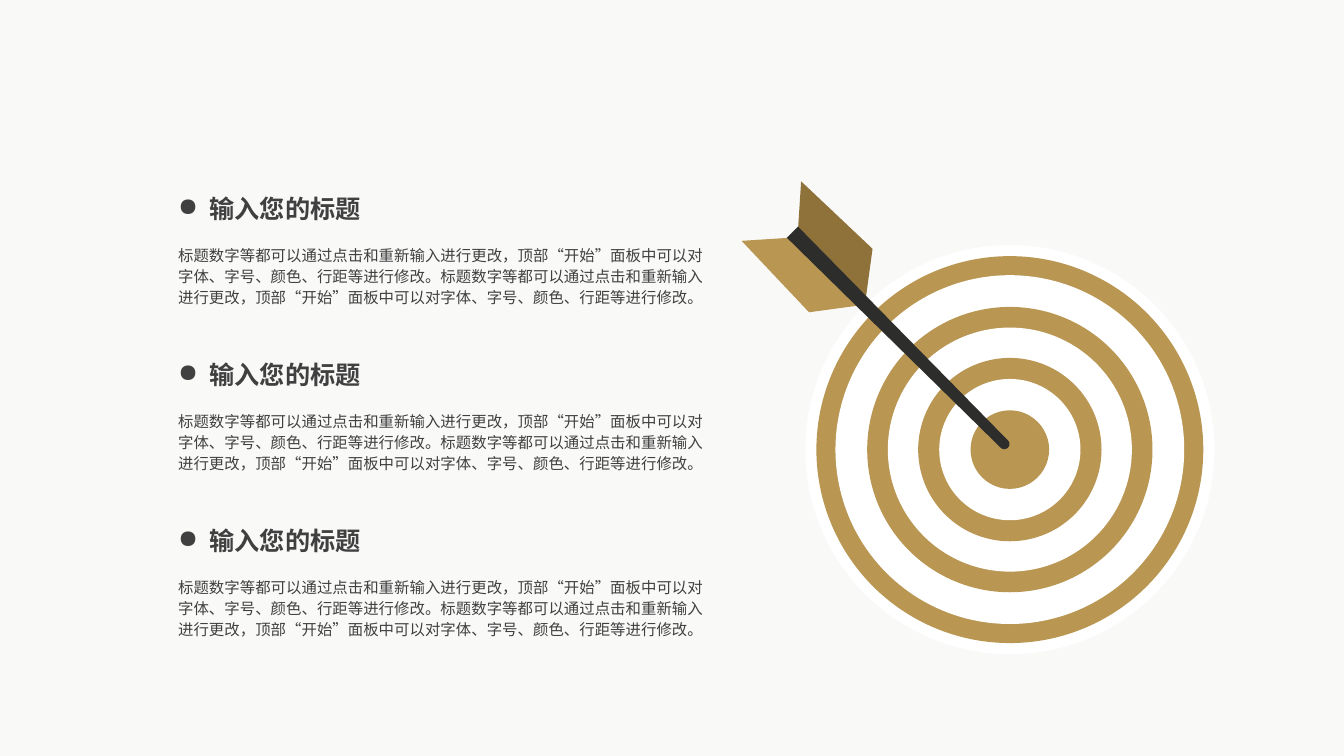
import math

from pptx import Presentation
from pptx.dml.color import RGBColor
from pptx.enum.shapes import MSO_SHAPE
from pptx.enum.text import MSO_AUTO_SIZE
from pptx.oxml.ns import qn
from pptx.util import Cm, Pt

OVAL = MSO_SHAPE.OVAL
GROW = MSO_AUTO_SIZE.SHAPE_TO_FIT_TEXT
BLANK_LAYOUT = 6

FONT = "Noto Sans CJK SC"
PAPER, WHITE, INK = "F9F9F8", "FFFFFF", "404040"
GOLD, DARK_GOLD, SHAFT = "B99652", "8F723A", "2D2D2C"

HEADING = "输入您的标题"
BODY = ("标题数字等都可以通过点击和重新输入进行更改，顶部“开始”面板中可以对"
        "字体、字号、颜色、行距等进行修改。") * 2

# Outer diameters in cm, alternating white and gold
RING_DIAMETERS = (10.31, 9.75, 8.79, 7.19, 6.15, 4.62, 3.56, 1.98)


def rgb(value):
    return RGBColor.from_string(value)


def paint(shape, color):
    shape.shadow.inherit = False
    shape.fill.solid()
    shape.fill.fore_color.rgb = rgb(color)
    shape.line.fill.background()


def add_text(parent, text, left, top, width, height, size, bold=False,
             line_spacing=None, bullet=None, hanging=0.79):
    """Add a one-paragraph text box; bullet is the marker character."""
    box = parent.shapes.add_textbox(Cm(left), Cm(top), Cm(width), Cm(height))
    frame = box.text_frame
    frame.word_wrap = True
    frame.auto_size = GROW
    para = frame.paragraphs[0]
    if line_spacing:
        para.line_spacing = line_spacing
    if bullet:
        properties = para._p.get_or_add_pPr()
        properties.set("marL", str(Cm(hanging)))
        properties.set("indent", str(-Cm(hanging)))
        marker = properties.makeelement(qn("a:buChar"), {"char": bullet})
        properties.append(marker)
    span = para.add_run()
    span.text = text
    span.font.size = Pt(size)
    span.font.bold = bold
    span.font.color.rgb = rgb(INK)
    span.font.name = FONT
    latin = span.font._element.find(qn("a:latin"))
    latin.addnext(latin.makeelement(qn("a:ea"), {"typeface": FONT}))


def add_topic(page, left, top, width):
    group = page.shapes.add_group_shape()
    add_text(group, HEADING, left, top, 5.31, 1.02, size=18, bold=True,
             bullet="●")
    add_text(group, BODY, left, top + 1.27, width, 1.85, size=11,
             line_spacing=1.14)


def add_polygon(group, left, top, points, color):
    corners = [(Cm(left + x), Cm(top + y)) for x, y in points]
    builder = group.shapes.build_freeform(*corners[0])
    builder.add_line_segments(corners[1:], close=True)
    paint(builder.convert_to_shape(), color)


def add_target(group, center_x, center_y):
    for index, diameter in enumerate(RING_DIAMETERS):
        disc = group.shapes.add_shape(
            OVAL, Cm(center_x - diameter / 2), Cm(center_y - diameter / 2),
            Cm(diameter), Cm(diameter))
        paint(disc, GOLD if index % 2 else WHITE)


def add_arrow(group, left, top, tip=6.62, tip_radius=0.13):
    """Draw a diagonal arrow whose two feathers mirror each other."""
    feather = [(3.12, 3.02), (1.42, 1.24), (1.5, 0), (3.3, 1.7)]
    add_polygon(group, left, top, feather, DARK_GOLD)
    add_polygon(group, left, top, [(y, x) for x, y in feather], GOLD)
    rounded_tip = [(tip + tip_radius * math.cos(math.radians(angle)),
                    tip + tip_radius * math.sin(math.radians(angle)))
                   for angle in range(-45, 136, 15)]
    add_polygon(group, left, top,
                [(1.14, 1.42), (1.42, 1.14)] + rounded_tip, SHAFT)


def main():
    deck = Presentation()
    deck.slide_width, deck.slide_height = Cm(33.87), Cm(19.05)
    page = deck.slides.add_slide(deck.slide_layouts[BLANK_LAYOUT])
    page.background.fill.solid()
    page.background.fill.fore_color.rgb = rgb(PAPER)

    illustration = page.shapes.add_group_shape()
    add_target(illustration, center_x=25.45, center_y=11.33)
    add_arrow(illustration, left=18.69, top=4.57)
    for row in range(3):
        add_topic(page, left=4.24, top=4.75 + row * 4.18, width=13.92)
    deck.save("out.pptx")


if __name__ == "__main__":
    main()
